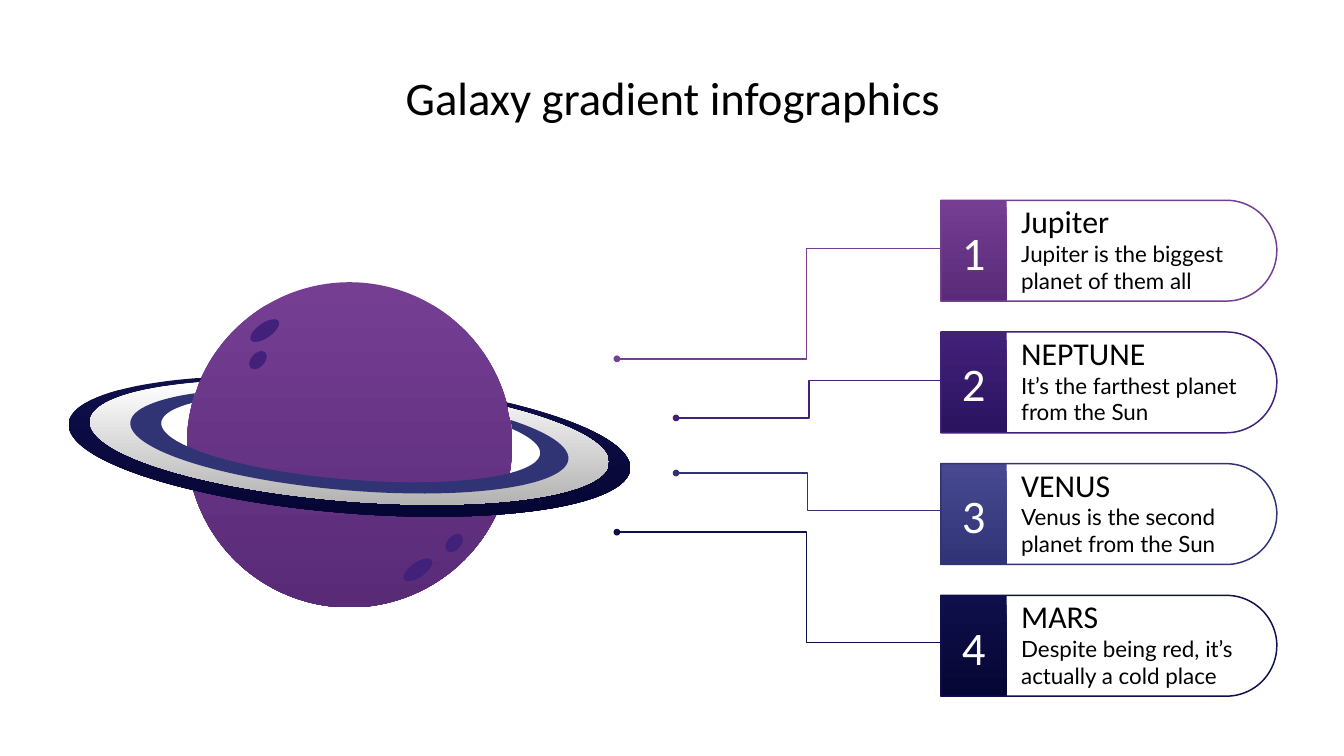
from math import acos, cos, pi, sin

from lxml import etree
from pptx import Presentation
from pptx.dml.color import RGBColor
from pptx.enum.shapes import MSO_CONNECTOR as CONNECTOR, MSO_SHAPE as SHAPE
from pptx.enum.text import MSO_ANCHOR as ANCHOR, PP_ALIGN as ALIGN
from pptx.oxml.ns import qn
from pptx.util import Inches, Pt

PURPLE = ("753E93", "592B77")
VIOLET = ("412179", "2B1360")
BLUE = ("484991", "303475")
NAVY = ("0F0F4B", "060635")
SILVER = ("FFFFFF", "B3B3B3")

PLANETS = [
    ("Jupiter", "Jupiter is the biggest planet of them all",
     PURPLE, "753E93", 4.59, 2.67, 6, 1.85),
    ("NEPTUNE", "It’s the farthest planet from the Sun",
     VIOLET, "412179", 5.03, 3.11, 6.02, 2.83),
    ("VENUS", "Venus is the second planet from the Sun",
     BLUE, "303475", 5.03, 3.52, 6.01, 3.8),
    ("MARS", "Despite being red, it’s actually a cold place",
     NAVY, "0F0F4B", 4.59, 3.96, 6, 4.78),
]
RING_EDGES = [
    (2.6, 3.32, 2.09, 0.5, 0.16, 1.5, 3.77),
    (2.6, 3.29, 1.93, 0.44, 0.15, 1.48, 3.78),
    (2.6, 3.28, 1.63, 0.37, 0.13, 1.45, 3.8),
    (2.61, 3.26, 1.41, 0.31, 0.11, 1.43, 3.81),
]
RING_FILLS = [NAVY, SILVER, ("303475", "303475")]
CRATERS = [
    (3.11, 4.24, 0.25, 0.11, -35),
    (1.97, 2.46, 0.25, 0.11, -35),
    (3.38, 4.04, 0.16, 0.1, -48),
    (1.92, 2.68, 0.16, 0.1, -48),
]


def color(value):
    return RGBColor.from_string(value)


def paint(shape, colors):
    shape.shadow.inherit = False
    shape.line.fill.background()
    if colors[0] == colors[-1]:
        shape.fill.solid()
        shape.fill.fore_color.rgb = color(colors[0])
        return
    shape.fill.gradient()
    shape.fill.gradient_angle = 270
    for stop, value in zip(shape.fill.gradient_stops, colors):
        stop.color.rgb = color(value)


def add_filled(slide, kind, left, top, width, height, *colors):
    shape = slide.shapes.add_shape(
        kind, Inches(left), Inches(top), Inches(width), Inches(height))
    paint(shape, colors)
    return shape


def add_text(slide, text, left, top, width, height, size,
             font="Calibri", fill="000000", align=ALIGN.LEFT):
    box = slide.shapes.add_textbox(
        Inches(left), Inches(top), Inches(width), Inches(height))
    frame = box.text_frame
    frame.word_wrap = True
    frame.vertical_anchor = ANCHOR.MIDDLE
    frame.margin_top = frame.margin_bottom = Inches(0.1)
    paragraph = frame.paragraphs[0]
    paragraph.text = text
    paragraph.alignment = align
    paragraph.font.name = font
    paragraph.font.size = Pt(size)
    paragraph.font.color.rgb = color(fill)


def add_elbow(slide, x1, y1, x2, y2, bend, accent):
    connector = slide.shapes.add_connector(
        CONNECTOR.ELBOW, Inches(x1), Inches(y1), Inches(x2), Inches(y2))
    connector.line.color.rgb = color(accent)
    connector.line.width = Pt(0.8)
    properties = connector._element.spPr
    etree.SubElement(properties, qn("a:effectLst"))
    adjustments = properties.find(qn("a:prstGeom")).get_or_add_avLst()
    share = round((bend - x1) / (x2 - x1) * 100000)
    etree.SubElement(adjustments, qn("a:gd"), name="adj1", fmla=f"val {share}")


def add_card(slide, number, top, name, description, colors, accent):
    add_filled(slide, SHAPE.RECTANGLE, 7, top, 0.49, 0.75, *colors)
    width, height = 2.5, 0.75
    outline = slide.shapes.add_shape(
        SHAPE.ROUND_2_SAME_RECTANGLE,
        Inches(7 + (width - height) / 2), Inches(top - (width - height) / 2),
        Inches(height), Inches(width))
    outline.rotation = 90
    outline.adjustments[0] = 0.5
    outline.shadow.inherit = False
    outline.fill.background()
    outline.line.color.rgb = color(accent)
    outline.line.width = Pt(0.8)
    add_text(slide, name, 7.5, top + 0.01, 1.87, 0.29, 17)
    add_text(slide, description, 7.5, top + 0.3, 1.87, 0.39, 12, font="Lato")
    add_text(slide, str(number), 7.02, top + 0.14, 0.45, 0.48, 25,
             fill="FFFFFF", align=ALIGN.CENTER)


def ring_edge(center_x, center_y, half_width, half_height, tilt, left, right):
    start = -acos((right - center_x) / half_width)
    end = 2 * pi - acos((left - center_x) / half_width)
    steps = 100
    angles = [start + (end - start) * step / steps for step in range(steps + 1)]
    return [(Inches(center_x + half_width * cos(angle)),
             Inches(center_y + half_height * sin(angle) + tilt * cos(angle)))
            for angle in angles]


def add_ring(slide, outer, inner, colors):
    points = ring_edge(*outer) + ring_edge(*inner)[::-1]
    builder = slide.shapes.build_freeform(*points[0])
    builder.add_line_segments(points[1:], close=True)
    paint(builder.convert_to_shape(), colors)


def add_planet(slide):
    add_filled(slide, SHAPE.OVAL, 1.39, 2.1, 2.42, 2.42, *PURPLE)
    for outer, inner, colors in zip(RING_EDGES, RING_EDGES[1:], RING_FILLS):
        add_ring(slide, outer, inner, colors)
    for x, y, width, height, rotation in CRATERS:
        crater = add_filled(slide, SHAPE.OVAL, x - width / 2, y - height / 2,
                            width, height, "412179")
        crater.rotation = rotation


def main():
    presentation = Presentation()
    presentation.slide_width = Inches(10)
    presentation.slide_height = Inches(10 * 9 / 16)
    slide = presentation.slides.add_slide(presentation.slide_layouts[6])
    add_text(slide, "Galaxy gradient infographics", 0.78, 0.5, 8.45, 0.44, 25,
             align=ALIGN.CENTER)
    add_planet(slide)
    for index, planet in enumerate(PLANETS):
        name, description, colors, accent, dot_x, dot_y, bend, end_y = planet
        add_elbow(slide, dot_x, dot_y, 7, end_y, bend, accent)
        add_filled(slide, SHAPE.OVAL, dot_x - 0.025, dot_y - 0.025,
                   0.05, 0.05, accent)
        add_card(slide, index + 1, 1.49 + 0.98 * index,
                 name, description, colors, accent)
    presentation.save("out.pptx")


if __name__ == "__main__":
    main()
